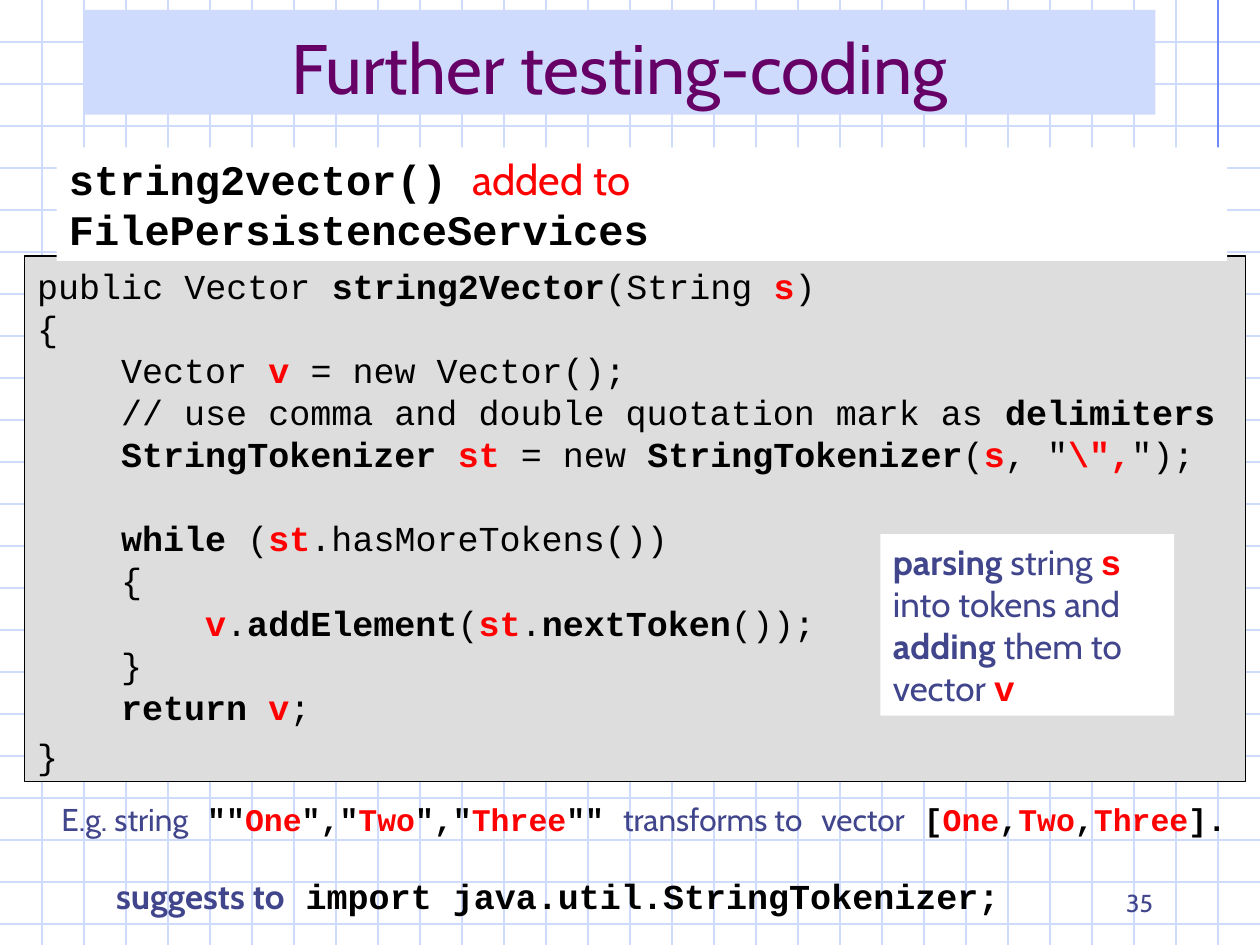
import lxml.etree
import pptx
import pptx.dml.color
import pptx.enum.shapes
import pptx.enum.text
import pptx.oxml.ns
import pptx.util

Cm = pptx.util.Cm
Pt = pptx.util.Pt
RGBColor = pptx.dml.color.RGBColor
Align = pptx.enum.text.PP_ALIGN
Anchor = pptx.enum.text.MSO_ANCHOR

BLACK = RGBColor(0x00, 0x00, 0x00)
WHITE = RGBColor(0xFF, 0xFF, 0xFF)
RED = RGBColor(0xFF, 0x00, 0x00)
INDIGO = RGBColor(0x40, 0x45, 0x8C)
PURPLE = RGBColor(0x66, 0x00, 0x66)
GREY = RGBColor(0xDD, 0xDD, 0xDD)
PALE_BLUE = RGBColor(0xCF, 0xDB, 0xFD)
RULE_BLUE = RGBColor(0x6F, 0x89, 0xF7)

PROSE = ("Cabin", INDIGO, False)
STRONG = ("Cabin", INDIGO, True)
ADDED = ("Cabin", RED, False)
CODE = ("Courier New", BLACK, False)
KEY = ("Courier New", BLACK, True)
VAR = ("Courier New", RED, True)

GRID_STEP = 25.4 / 30

CODE_LINES = [
    (0, [("public Vector ", CODE), ("string2Vector", KEY), ("(String ", CODE),
         ("s", VAR), (")", CODE)]),
    (0, [("{", CODE)]),
    (1, [("Vector ", CODE), ("v", VAR), (" = new Vector();", CODE)]),
    (1, [("// use comma and double quotation mark as ", CODE), ("delimiters", KEY)]),
    (1, [("StringTokenizer ", KEY), ("st", VAR), (" = new ", CODE),
         ("StringTokenizer", KEY), ("(", CODE), ("s", VAR), (', "', CODE),
         ('\\",', VAR), ('");', CODE)]),
    (1, [("while", KEY), (" (", CODE), ("st", VAR), (".hasMoreTokens())", CODE)]),
    (1, [("{", CODE)]),
    (2, [("v", VAR), (".", CODE), ("addElement", KEY), ("(", CODE), ("st", VAR),
         (".", CODE), ("nextToken", KEY), ("());", CODE)]),
    (1, [("}", CODE)]),
    (1, [("return ", KEY), ("v", VAR), (";", CODE)]),
    (0, [("}", CODE)]),
]
LOOP_LINE = 5

NOTE_LINES = [
    [("parsing", STRONG), (" string ", PROSE), ("s", VAR)],
    [("into tokens and", PROSE)],
    [("adding", STRONG), (" them to", PROSE)],
    [("vector ", PROSE), ("v", VAR)],
]

EXAMPLE = [
    ("E.g. string", PROSE), (' ""', KEY), ("One", VAR), ('","', KEY), ("Two", VAR),
    ('","', KEY), ("Three", VAR), ('"" ', KEY), ("transforms to", PROSE), (" ", KEY),
    ("vector", PROSE), (" [", KEY), ("One", VAR), (",", KEY), ("Two", VAR),
    (",", KEY), ("Three", VAR), ("].", KEY),
]
IMPORT_HINT = [("suggests to", STRONG), (" import java.util.StringTokenizer;", KEY)]


def add_runs(paragraph, runs, size):
    """Append styled runs to a paragraph."""
    for text, (font_name, color, bold) in runs:
        run = paragraph.add_run()
        run.text = text
        run.font.name = font_name
        run.font.size = Pt(size)
        run.font.bold = bold
        run.font.color.rgb = color


def add_lines(frame, lines, size):
    """Fill a text frame with one paragraph per line and return the paragraphs."""
    paragraphs = []
    for number, runs in enumerate(lines):
        paragraph = frame.add_paragraph() if number else frame.paragraphs[0]
        paragraph.alignment = Align.LEFT
        add_runs(paragraph, runs, size)
        paragraphs.append(paragraph)
    return paragraphs


def indent(paragraph, length):
    """Set the left margin of a paragraph."""
    paragraph._p.get_or_add_pPr().set("marL", str(int(length)))


def add_panel(slide, box, fill, outline=None):
    """Draw a filled rectangle and return its top-anchored text frame."""
    panel = slide.shapes.add_shape(
        pptx.enum.shapes.MSO_SHAPE.RECTANGLE, *map(Cm, box))
    panel.shadow.inherit = False
    panel.fill.solid()
    panel.fill.fore_color.rgb = fill
    if outline is None:
        panel.line.fill.background()
    else:
        panel.line.color.rgb = outline
        panel.line.width = Pt(0.75)
    panel.text_frame.word_wrap = True
    panel.text_frame.vertical_anchor = Anchor.TOP
    return panel.text_frame


def add_text(slide, box):
    """Add a wrapping text box and return its text frame."""
    frame = slide.shapes.add_textbox(*map(Cm, box)).text_frame
    frame.word_wrap = True
    return frame


def add_rule(group, start, end, color):
    """Draw one thin straight line in a group."""
    rule = group.shapes.add_connector(
        pptx.enum.shapes.MSO_CONNECTOR.STRAIGHT, *map(Cm, start + end))
    rule.line.color.rgb = color
    rule.line.width = Pt(0.75)
    lxml.etree.SubElement(rule._element.spPr, pptx.oxml.ns.qn("a:effectLst"))


def add_grid(slide, box):
    """Cover the box with squared paper and its darker margin lines."""
    left, top, width, height = box
    group = slide.shapes.add_group_shape()
    for row in range(1, 23):
        y = top + row * GRID_STEP
        add_rule(group, (left, y), (left + width, y), PALE_BLUE)
    for column in range(1, 30):
        x = left + column * GRID_STEP
        add_rule(group, (x, top), (x, top + height), PALE_BLUE)
    right_margin = left + 29 * GRID_STEP
    left_margin = left + 2 * GRID_STEP
    add_rule(group, (right_margin, top), (right_margin, top + 6.55), RULE_BLUE)
    add_rule(group, (left + 6.1, top + 4.22), (left + 1.14, top + 4.22), RULE_BLUE)
    add_rule(group, (left_margin, top + 3.94), (left_margin, top + 10.39), RULE_BLUE)


def add_title(slide, box):
    """Place and format the title in front of the grid."""
    title = slide.shapes.title
    slide.shapes._spTree.append(title._element)
    title.left, title.top, title.width, title.height = map(Cm, box)
    title.fill.solid()
    title.fill.fore_color.rgb = PALE_BLUE
    title.text_frame.vertical_anchor = Anchor.BOTTOM
    heading = title.text_frame.paragraphs[0]
    heading.alignment = Align.CENTER
    add_runs(heading, [("Further testing-coding", ("Cabin", PURPLE, False))], 40)


def add_code(slide, box):
    """Draw the code panel with indented lines."""
    frame = add_panel(slide, box, GREY, BLACK)
    frame.margin_top = Cm(0.18)
    paragraphs = add_lines(frame, [runs for _, runs in CODE_LINES], 20)
    for paragraph, (level, _) in zip(paragraphs, CODE_LINES):
        paragraph.line_spacing = Pt(24)
        indent(paragraph, Pt(48) * level)
    paragraphs[LOOP_LINE].space_before = Pt(24)
    paragraphs[-1].space_before = Pt(4)


def add_heading(slide, box):
    """Draw the line that names the added method."""
    frame = add_panel(slide, box, WHITE)
    add_lines(frame, [[("string2vector() ", KEY), ("added to ", ADDED),
                       ("FilePersistenceServices", KEY)]], 24)


def add_note(slide, box):
    """Draw the white note beside the loop."""
    add_lines(add_panel(slide, box, WHITE), NOTE_LINES, 20)


def add_example(slide, box):
    """Write the example and the import hint below the code."""
    frame = add_text(slide, box)
    add_lines(frame, [EXAMPLE], 18)
    hint = frame.add_paragraph()
    add_runs(hint, IMPORT_HINT, 20)
    hint.space_before = Pt(21)
    indent(hint, Cm(1.1))


def add_page_number(slide, box):
    """Write the page number at the lower right."""
    frame = add_text(slide, box)
    frame.vertical_anchor = Anchor.BOTTOM
    add_lines(frame, [[("35", PROSE)]], 14)[0].alignment = Align.RIGHT


def main():
    """Build the slide and save it."""
    deck = pptx.Presentation()
    deck.slide_width, deck.slide_height = Cm(25.4), Cm(19.05)
    slide = deck.slides.add_slide(deck.slide_layouts[5])
    add_grid(slide, (0, 0, 25.4, 19.05))
    add_page_number(slide, (18.21, 17.35, 5.28, 1.27))
    add_title(slide, (1.7, 0.2, 21.59, 2.11))
    add_code(slide, (0.5, 5.16, 24.61, 10.59))
    add_heading(slide, (1.14, 2.97, 23.6, 2.29))
    add_note(slide, (17.75, 10.77, 5.92, 3.66))
    add_example(slide, (0.99, 16, 24.41, 3.4))
    deck.save("out.pptx")


if __name__ == "__main__":
    main()
